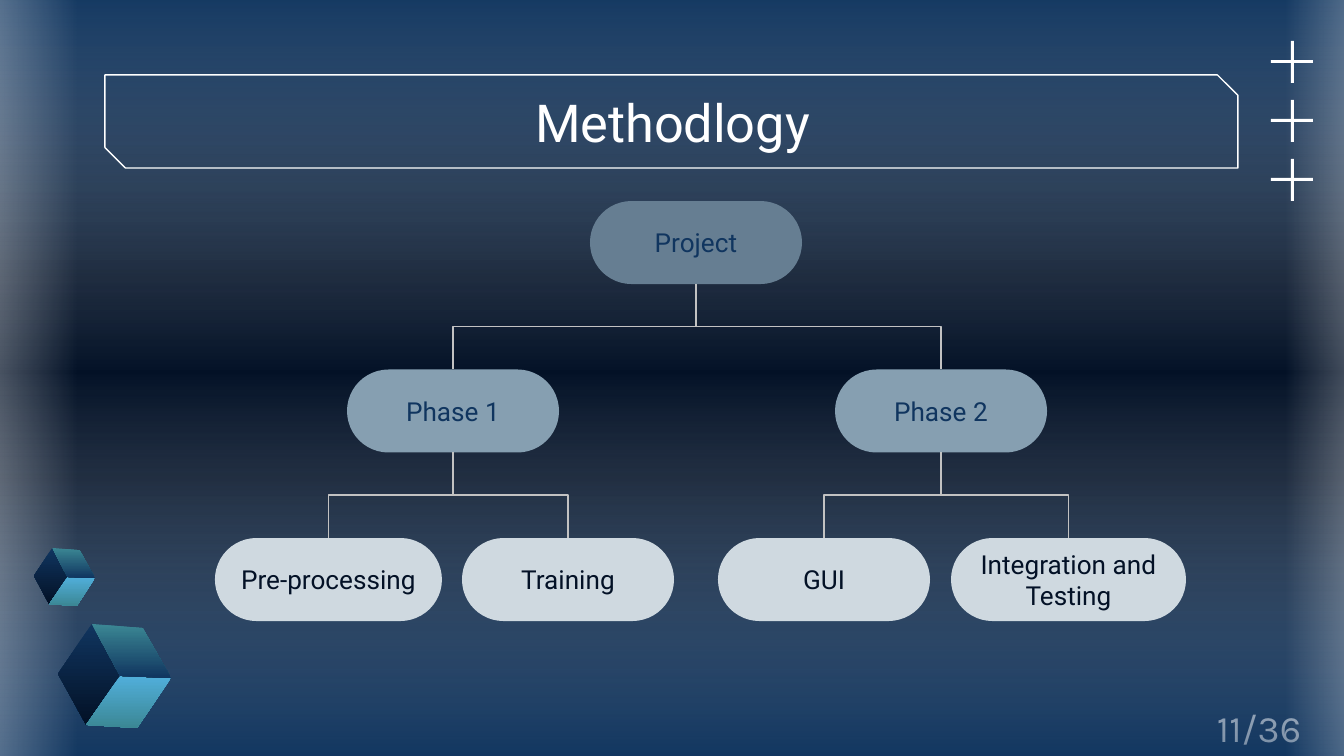
from lxml import etree
from pptx import Presentation
from pptx.dml.color import RGBColor
from pptx.enum.shapes import MSO_CONNECTOR, MSO_SHAPE
from pptx.enum.text import MSO_ANCHOR, PP_ALIGN
from pptx.oxml.ns import qn
from pptx.util import Pt

RECTANGLE = MSO_SHAPE.RECTANGLE
PILL = MSO_SHAPE.ROUNDED_RECTANGLE
SNIPPED = MSO_SHAPE.SNIP_2_DIAG_RECTANGLE
ELBOW = MSO_CONNECTOR.ELBOW
CENTER = PP_ALIGN.CENTER
MIDDLE = MSO_ANCHOR.MIDDLE

EMU_PER_PX = 914400 / 134.4
TOP_SITE, BOTTOM_SITE = 0, 2

NAVY, MIDNIGHT, WHITE = "10355F", "031126", "FFFFFF"
SKY, TEAL, LINE_GREY = "51AFDB", "3B8794", "C2C2C2"
PILL_FILLS = ["667E92", "869FB1", "CFD9E0"]
PILL_TEXT = [NAVY, NAVY, MIDNIGHT]

# Each node: text, left, width, children
TREE = ("Project", 375, 212, [
    ("Phase 1", 132, 212, [("Pre-processing", 0, 227, []),
                           ("Training", 247, 212, [])]),
    ("Phase 2", 620, 212, [("GUI", 503, 212, []),
                           ("Integration and Testing", 736, 235, [])]),
])


def px(value):
    return round(value * EMU_PER_PX)


def rgb(color):
    return RGBColor.from_string(color)


def set_gradient(owner, fill, stops, angle):
    """Fill with (position %, colour, opacity %) stops; angle is clockwise."""
    fill.gradient()
    gradient = owner.find(".//" + qn("a:gradFill"))
    gradient.find(qn("a:lin")).set("ang", str(angle * 60000))
    stop_list = gradient.find(qn("a:gsLst"))
    for old_stop in list(stop_list):
        stop_list.remove(old_stop)
    for position, color, opacity in stops:
        stop = etree.SubElement(stop_list, qn("a:gs"), pos=str(position * 1000))
        solid = etree.SubElement(stop, qn("a:srgbClr"), val=color)
        if opacity < 100:
            etree.SubElement(solid, qn("a:alpha"), val=str(opacity * 1000))


def add_shape(slide, kind, box, fill=None, line=None):
    shape = slide.shapes.add_shape(kind, *map(px, box))
    shape.shadow.inherit = False
    if fill:
        shape.fill.solid()
        shape.fill.fore_color.rgb = rgb(fill)
    else:
        shape.fill.background()
    if line:
        shape.line.color.rgb = rgb(line)
        shape.line.width = Pt(0.75)
    else:
        shape.line.fill.background()
    return shape


def write_text(shape, text, size, color, font="Roboto", align=None, inset=13):
    frame = shape.text_frame
    frame.word_wrap = True
    frame.margin_left = frame.margin_right = px(13)
    frame.margin_top = frame.margin_bottom = px(inset)
    if align:
        frame.vertical_anchor = MIDDLE
    paragraph = frame.paragraphs[0]
    paragraph.text = text
    paragraph.alignment = align
    paragraph.font.size = Pt(size)
    paragraph.font.name = font
    paragraph.font.color.rgb = rgb(color)


def add_backdrop(slide, page_number):
    set_gradient(slide.element, slide.background.fill,
                 [(0, NAVY, 100), (37, MIDNIGHT, 100),
                  (63, MIDNIGHT, 100), (100, NAVY, 100)], 90)
    number_box = slide.shapes.add_textbox(*map(px, (1204, 698, 238, 59)))
    write_text(number_box, page_number, 20, WHITE, font="Karla", inset=7)

    veil = [(0, NAVY, 59), (50, WHITE, 0), (100, NAVY, 59)]
    glow = [(0, WHITE, 47), (100, WHITE, 0)]
    for box, stops, angle in [((0, -18, 1372, 781), veil, 90),
                              ((-55, -12, 132, 780), glow, 0),
                              ((1285, -18, 114, 780), glow, 180)]:
        panel = add_shape(slide, RECTANGLE, box)
        set_gradient(panel._element, panel.fill, stops, angle)


def add_title(slide, box, text):
    left, top, width, height = box
    frame = add_shape(slide, SNIPPED, box, line=WHITE)
    frame.adjustments[0] = 0
    frame.adjustments[1] = 0.22
    title = slide.shapes.add_textbox(
        *map(px, (left + 1, top + 4, width, height - 8)))
    write_text(title, text, 28, WHITE, align=CENTER)


def add_crosses(slide, left, top, size, pitch, count):
    thickness = 3
    middle = (size - thickness) // 2
    for y in range(top, top + count * pitch, pitch):
        add_shape(slide, RECTANGLE, (left, y + middle, size, thickness), WHITE)
        add_shape(slide, RECTANGLE, (left + middle + 1, y, thickness, size), WHITE)


def add_cube(slide, box):
    left, top, width, height = box
    back, side, front = (0.3, 0), (0, 0.48), (0.25, 0.97)
    center, right = (0.55, 0.5), (1, 0.52)
    base, crown = (0.7, 1), (0.75, 0.04)
    for corners, start, end in [
            ((back, side, front, center), NAVY, MIDNIGHT),
            ((center, right, base, front), SKY, TEAL),
            ((back, crown, right, center), TEAL, NAVY)]:
        points = [(px(left + x * width), px(top + y * height)) for x, y in corners]
        builder = slide.shapes.build_freeform(*points[0])
        builder.add_line_segments(points[1:])
        face = builder.convert_to_shape()
        face.shadow.inherit = False
        face.line.fill.background()
        set_gradient(face._element, face.fill,
                     [(0, start, 100), (100, end, 100)], 90)


def connect(slide, parent, child):
    """Join parent bottom to child top with an elbow that leaves downwards."""
    connector = slide.shapes.add_connector(ELBOW, 0, 0, 0, 0)
    connector.begin_connect(parent, BOTTOM_SITE)
    connector.end_connect(child, TOP_SITE)
    start_x = parent.left + parent.width // 2
    start_y = parent.top + parent.height
    end_x = child.left + child.width // 2
    across, down = abs(end_x - start_x), child.top - start_y
    # The elbow runs sideways by default, so its box is turned a quarter.
    connector.width, connector.height = down, across
    connector.left = (start_x + end_x - down) // 2
    connector.top = (start_y + child.top - across) // 2
    to_right = end_x > start_x
    connector.rotation = 270 if to_right else 90
    transform = connector._element.spPr.find(qn("a:xfrm"))
    transform.set("flipH", "1" if to_right else "0")
    transform.set("flipV", "0")
    connector.line.color.rgb = rgb(LINE_GREY)
    connector.line.width = Pt(0.75)
    etree.SubElement(connector._element.spPr, qn("a:effectLst"))


def add_tree(slide, box, node, level=0):
    """Draw a node and its descendants; return the node's pill."""
    left, top, width, height = box
    text, offset, pill_width, children = node
    pill_height = 83
    pitch = (height - pill_height) / 2
    pill = add_shape(slide, PILL,
                     (left + offset, top + level * pitch, pill_width, pill_height),
                     PILL_FILLS[level])
    pill.adjustments[0] = 0.5
    write_text(pill, text, 14, PILL_TEXT[level], align=CENTER)
    for child in children:
        connect(slide, pill, add_tree(slide, box, child, level + 1))
    return pill


def main():
    presentation = Presentation()
    presentation.slide_width, presentation.slide_height = px(1344), px(756)
    slide = presentation.slides.add_slide(presentation.slide_layouts[6])
    add_backdrop(slide, "11/36")
    add_title(slide, (105, 75, 1133, 93), "Methodlogy")
    add_crosses(slide, left=1271, top=41, size=42, pitch=59, count=3)
    add_cube(slide, (58, 624, 113, 104))
    add_cube(slide, (34, 548, 61, 58))
    add_tree(slide, (215, 201, 971, 420), TREE)
    presentation.save("out.pptx")


if __name__ == "__main__":
    main()
